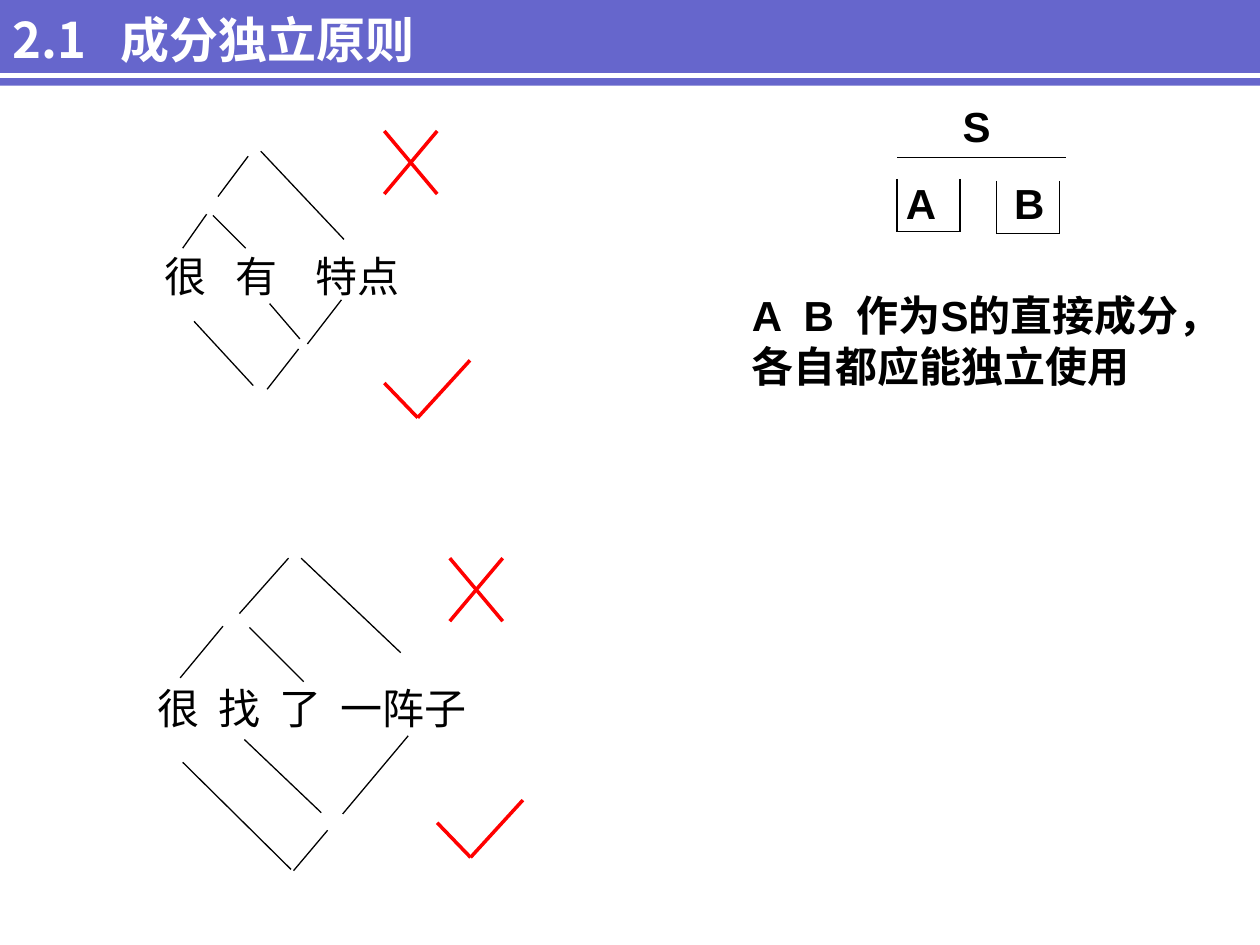
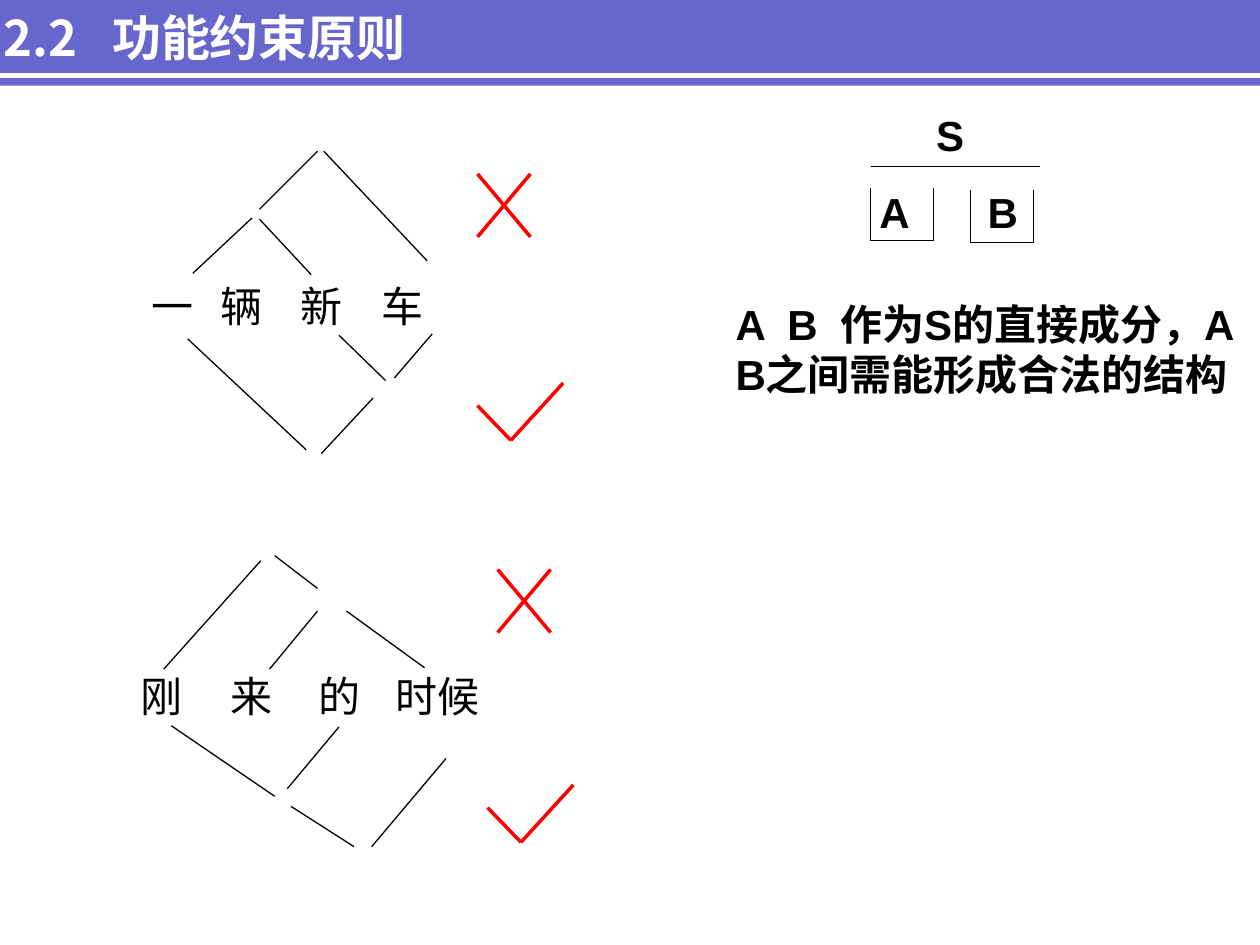
from lxml import etree
from pptx import Presentation
from pptx import util as u
from pptx.dml.color import RGBColor
from pptx.enum import shapes, text
from pptx.oxml import ns

BLUE = RGBColor(0x66, 0x66, 0xCC)
WHITE = RGBColor(0xFF, 0xFF, 0xFF)
BLACK = RGBColor(0, 0, 0)
RED = RGBColor(0xFF, 0, 0)
LATIN, HAN = "Arial", "Noto Sans CJK SC"
COLS, ROWS = 100, 75


class Deck:
    """Holds the style and the current slide; lengths are columns and rows of a 100 by 75 grid."""

    def __init__(self):
        self.prs = Presentation()
        self.prs.slide_width, self.prs.slide_height = u.Inches(10), u.Inches(7.5)
        self.col = self.prs.slide_width / COLS
        self.row = self.prs.slide_height / ROWS
        self.layout = self.prs.slide_layouts[5]
        self.slide = None

    def grid(self, x1, y1, x2, y2):
        return [round(span * unit) for span, unit in
                zip((x1, y1, x2, y2), (self.col, self.row) * 2)]

    def page(self, title, left, top, height):
        first = self.slide is None
        self.slide = self.prs.slides.add_slide(self.layout)
        if first:
            self.band()
        head = self.slide.shapes.title
        head.left, head.top, head.width, head.height = self.grid(left, top, 85, height)
        frame = head.text_frame
        frame.auto_size = text.MSO_AUTO_SIZE.NONE
        frame.vertical_anchor = text.MSO_ANCHOR.MIDDLE
        self.style(frame.paragraphs[0], title, [8.6], 28, WHITE, True, HAN)

    def band(self):
        bar = self.slide.shapes.add_shape(
            shapes.MSO_SHAPE.RECTANGLE, *self.grid(0, 0, COLS, 6.8))
        bar.shadow.inherit = False
        bar.fill.solid()
        bar.fill.fore_color.rgb = BLUE
        bar.line.fill.background()
        rule = self.line(0, 6, COLS, 6, WHITE, 3)
        anchor = self.layout.placeholders[0].element
        for key, item in enumerate((bar, rule), 101):
            item.element.xpath("./*/p:cNvPr")[0].set("id", str(key))
            anchor.addprevious(item.element)

    def line(self, x1, y1, x2, y2, color=BLACK, width=0.75):
        link = self.slide.shapes.add_connector(
            shapes.MSO_CONNECTOR.STRAIGHT, *self.grid(x1, y1, x2, y2))
        link.line.color.rgb = color
        link.line.width = u.Pt(width)
        etree.SubElement(link.element.spPr, ns.qn("a:effectLst"))
        return link

    def style(self, para, words, stops=(), size=24, color=BLACK, bold=False, face=LATIN):
        para.text = words
        para.alignment = text.PP_ALIGN.LEFT
        if stops:
            tabs = etree.SubElement(para._p.get_or_add_pPr(), ns.qn("a:tabLst"))
            for stop in stops:
                etree.SubElement(tabs, ns.qn("a:tab"), pos=str(round(stop * self.col)), algn="l")
        for run in para.runs:
            font = run.font
            font.size, font.bold, font.name = u.Pt(size), bold, face
            font.color.rgb = color
            etree.SubElement(run._r.get_or_add_rPr(), ns.qn("a:ea"), typeface=HAN)

    def box(self, left, top, width, height):
        frame = self.slide.shapes.add_textbox(
            *self.grid(left, top, width, height)).text_frame
        frame.word_wrap = True
        frame.auto_size = text.MSO_AUTO_SIZE.SHAPE_TO_FIT_TEXT
        return frame

    def label(self, words, stops, left, top, width, height=5, bold=False):
        self.style(self.box(left, top, width, height).paragraphs[0], words, stops, bold=bold)

    def schema(self, left, top):
        frame = self.box(left, top, 29.2, 11.1)
        whole, parts = frame.paragraphs[0], frame.add_paragraph()
        self.style(whole, "S", bold=True)
        whole.alignment = text.PP_ALIGN.CENTER
        self.style(parts, "\tA\tB", [8, 16.6], bold=True)
        parts.space_before = u.Pt(15)
        self.line(left + 8.3, top + 5, left + 21.7, top + 5)
        self.tray(left + 8.3, top + 6.7)
        self.tray(left + 16.2, top + 6.85)

    def tray(self, left, top, width=5, depth=4.2):
        right, base = left + width, top + depth
        self.line(left, top, left, base)
        self.line(left, base, right, base)
        self.line(right, top, right, base)

    def cross(self, left, top, width=4.2, height=5):
        right, base = left + width, top + height
        self.line(left, top, right, base, RED, 2)
        self.line(right, top, left, base, RED, 2)

    def tick(self, left, top):
        tip = left + 2.65, top + 4.55
        self.line(left, top + 1.8, *tip, RED, 2)
        self.line(left + 6.8, top, *tip, RED, 2)

    def tree(self, branches):
        for branch in branches:
            self.line(*branch)


def main():
    deck = Deck()

    deck.page("2.1\t成分独立原则", 0, 0.2, 5.7)
    deck.schema(62.9, 7.5)
    deck.label("A\tB\t作为S的直接成分，各自都应能独立使用", [4.1, 8.3],
               58.7, 22.5, 41.3, 9, True)
    deck.label("很\t有\t特点", [5.6, 12], 12.1, 19.4, 23.3)
    deck.tree([
        (14.5, 19.7, 16.4, 17), (16.9, 17.1, 19.5, 19.7),
        (17.3, 15.6, 19.7, 12.4), (20.7, 12, 27.3, 19),
        (21.4, 24.1, 23.8, 26.9), (24.4, 27.3, 27.1, 23.8),
        (15.4, 25.5, 20.1, 30.6), (21.2, 30.9, 23.7, 27.7)])
    deck.cross(30.5, 10.4)
    deck.tick(30.5, 28.6)
    deck.label("很\t找\t了\t一阵子", [4.85, 9.7, 14.55], 11.5, 53.7, 33.3)
    deck.tree([
        (14.3, 53.8, 17.7, 49.7), (19.8, 49.8, 24.1, 54.1),
        (19, 48.7, 22.9, 44.3), (23.9, 44.3, 31.8, 51.8),
        (19.4, 58.7, 25.5, 64.5), (27.2, 64.6, 32.4, 58.4),
        (14.5, 60.5, 23.1, 69), (23.3, 69.1, 26, 65.9)])
    deck.cross(35.7, 44.3)
    deck.tick(34.7, 63.5)

    deck.page("2.2\t功能约束原则", -0.7, 0.3, 5.3)
    deck.schema(60.8, 8.2)
    deck.label("A\tB\t作为S的直接成分，A B之间需能形成合法的结构", [4.1, 8.3],
               57.4, 23.2, 41.5, 13, True)
    deck.label("一\t辆\t新\t车", [5.5, 11.9, 18.3], 11, 21.8, 27.5)
    deck.tree([
        (15.3, 21.7, 20, 17.3), (20.6, 17.4, 24.7, 21.8),
        (20.6, 16.6, 25.2, 12), (25.7, 12, 33.9, 20.7),
        (26.9, 26.6, 30.6, 30.2), (31.3, 30, 34.3, 26.5),
        (14.9, 26.9, 24.3, 35.7), (25.5, 36, 29.6, 31.6)])
    deck.cross(37.9, 13.8)
    deck.tick(37.9, 30.4)
    deck.label("刚\t来\t的\t时候", [7.1, 14.1, 20.2], 10.2, 52.7, 33.3)
    deck.tree([
        (13, 53.1, 20.7, 44.5), (21.8, 44.1, 25.2, 46.7),
        (25.2, 48.5, 21.4, 53.1), (27.5, 48.5, 33.7, 53),
        (13.6, 57.6, 21.8, 63.2), (22.8, 62.6, 26.9, 57.7),
        (23.1, 64, 28.1, 67.2), (29.5, 67.2, 35.4, 60.2)])
    deck.cross(39.5, 45.2)
    deck.tick(38.7, 62.3)

    deck.prs.save("out.pptx")


if __name__ == "__main__":
    main()
